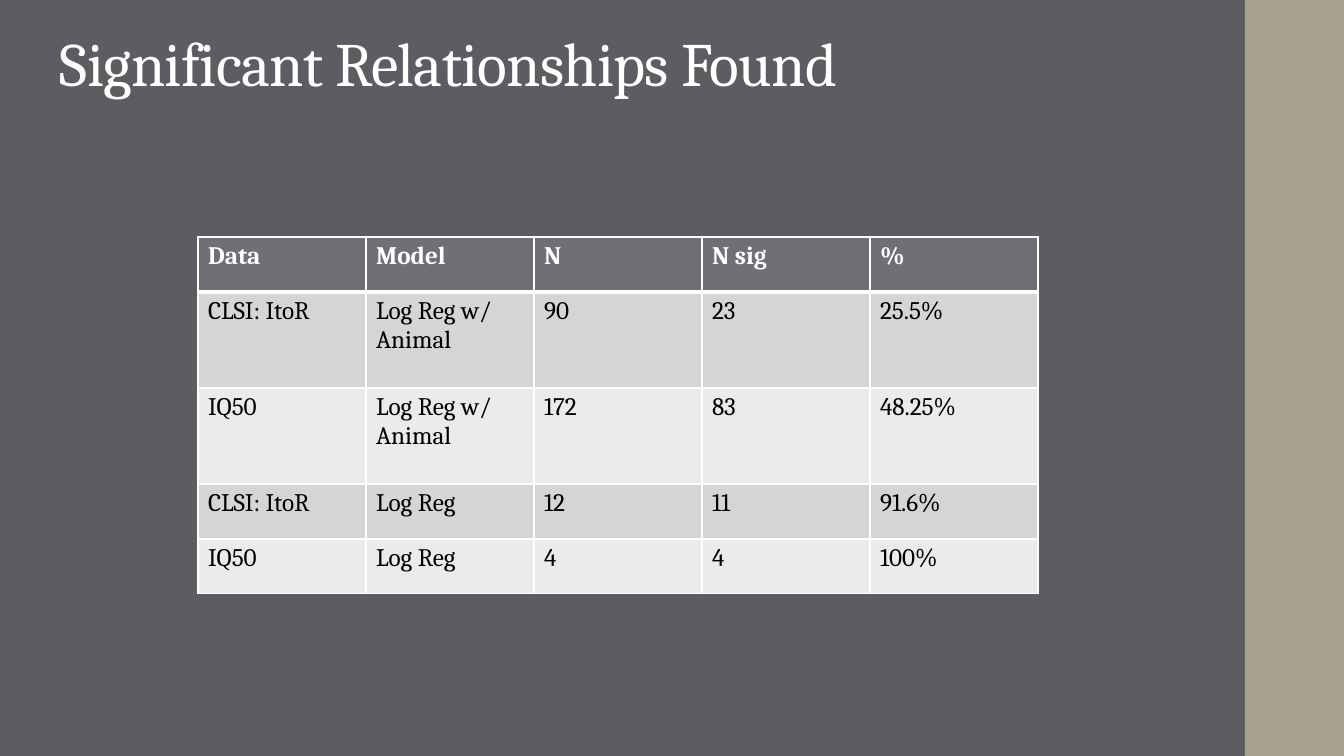
from lxml import etree
from pptx import Presentation
from pptx import util as u
from pptx.dml.color import RGBColor
from pptx.enum import shapes, text
from pptx.oxml import ns

TITLE = "Significant Relationships Found"
ROWS = [
    ("Data", "Model", "N", "N sig", "%"),
    ("CLSI: ItoR", "Log Reg w/ Animal", "90", "23", "25.5%"),
    ("IQ50", "Log Reg w/ Animal", "172", "83", "48.25%"),
    ("CLSI: ItoR", "Log Reg", "12", "11", "91.6%"),
    ("IQ50", "Log Reg", "4", "4", "100%"),
]
ROW_H = [55, 96, 96, 55, 55]
COL_W = 168
FONT = "Cambria"
COLORS = {
    "bg": "5C5C61", "bar": "A7A192", "head": "6F6F74", "odd": "D5D5D6",
    "even": "EBEBEB", "light": "FFFFFF", "dark": "000000",
}
PX = 914400 / 100.8


def px(n):
    return u.Emu(round(n * PX))


def box(*lengths):
    return [px(n) for n in lengths]


def paint(fill, color):
    fill.solid()
    fill.fore_color.rgb = RGBColor.from_string(COLORS[color])


def add_run(p, words, size, color, bold=False):
    r = p.add_run()
    r.text = words
    r.font.name = FONT
    r.font.size = u.Pt(size)
    r.font.bold = bold
    r.font.color.rgb = RGBColor.from_string(COLORS[color])
    return r


def set_borders(cell, widths):
    tcPr = cell._tc.get_or_add_tcPr()
    for i, (side, width) in enumerate(widths.items()):
        ln = etree.Element(ns.qn(f"a:ln{side}"), w=str(u.Pt(width)))
        fill = etree.SubElement(ln, ns.qn("a:solidFill"))
        etree.SubElement(fill, ns.qn("a:srgbClr"), val=COLORS["light"])
        tcPr.insert(i, ln)


def add_results(s):
    size = (COL_W * len(ROWS[0]), sum(ROW_H))
    table = s.shapes.add_table(len(ROWS), len(ROWS[0]), *box(198, 237, *size)).table
    for col in table.columns:
        col.width = px(COL_W)
    for i, row in enumerate(ROWS):
        table.rows[i].height = px(ROW_H[i])
        head = i == 0
        fill = "head" if head else "odd" if i % 2 else "even"
        for j, words in enumerate(row):
            cell = table.cell(i, j)
            paint(cell.fill, fill)
            add_run(cell.text_frame.paragraphs[0], words, 18,
                    "light" if head else "dark", head)
            set_borders(cell, {"L": 1, "R": 1, "T": 3 if i == 1 else 1,
                               "B": 3 if head else 1})


def add_title(s):
    tf = s.shapes.add_textbox(*box(50, 28, 1068, 91)).text_frame
    tf.word_wrap = True
    tf.vertical_anchor = text.MSO_ANCHOR.TOP
    p = tf.paragraphs[0]
    p.line_spacing = 0.9
    r = add_run(p, TITLE, 44, "light")
    r._r.get_or_add_rPr().set("spc", "-50")


def main():
    prs = Presentation()
    prs.slide_width, prs.slide_height = box(1344, 756)
    s = prs.slides.add_slide(prs.slide_layouts[6])
    paint(s.background.fill, "bg")
    bar = s.shapes.add_shape(shapes.MSO_SHAPE.RECTANGLE, *box(1245, 0, 99, 756))
    bar.shadow.inherit = False
    paint(bar.fill, "bar")
    bar.line.fill.background()
    add_results(s)
    add_title(s)
    prs.save("out.pptx")


if __name__ == "__main__":
    main()
